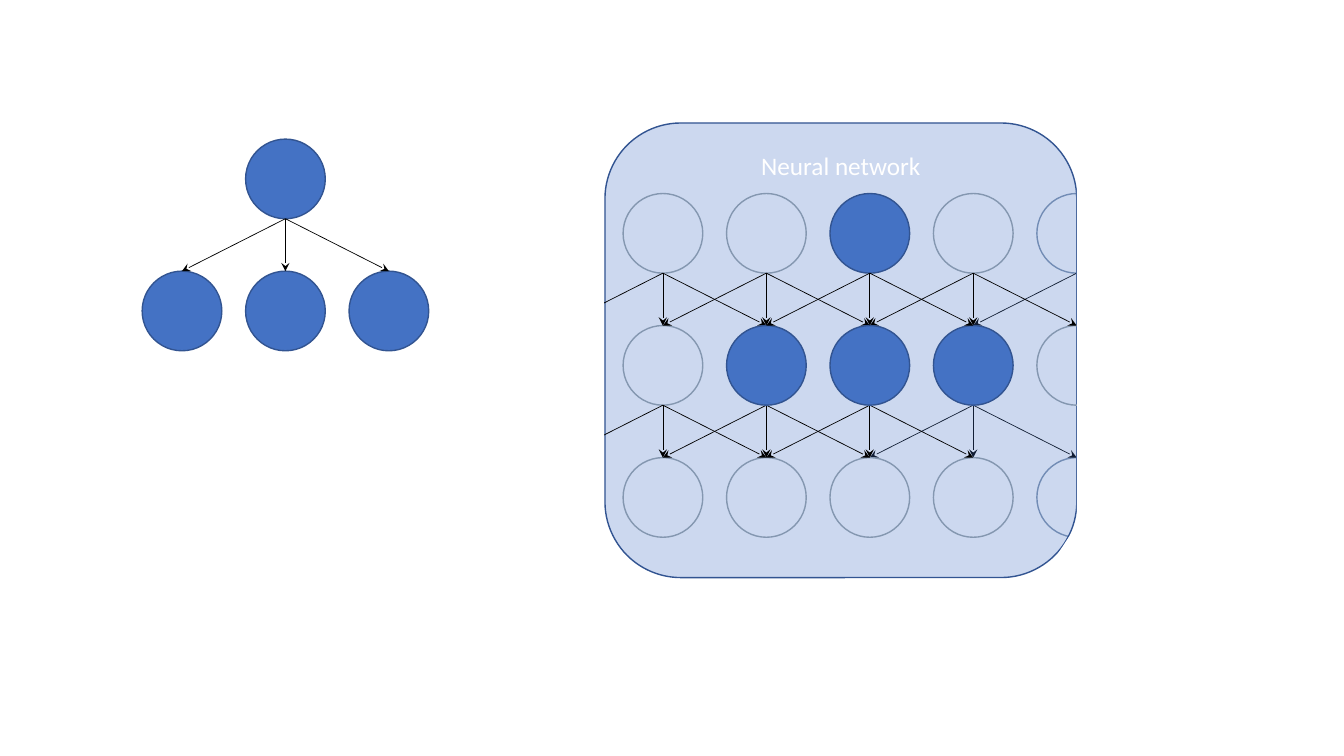
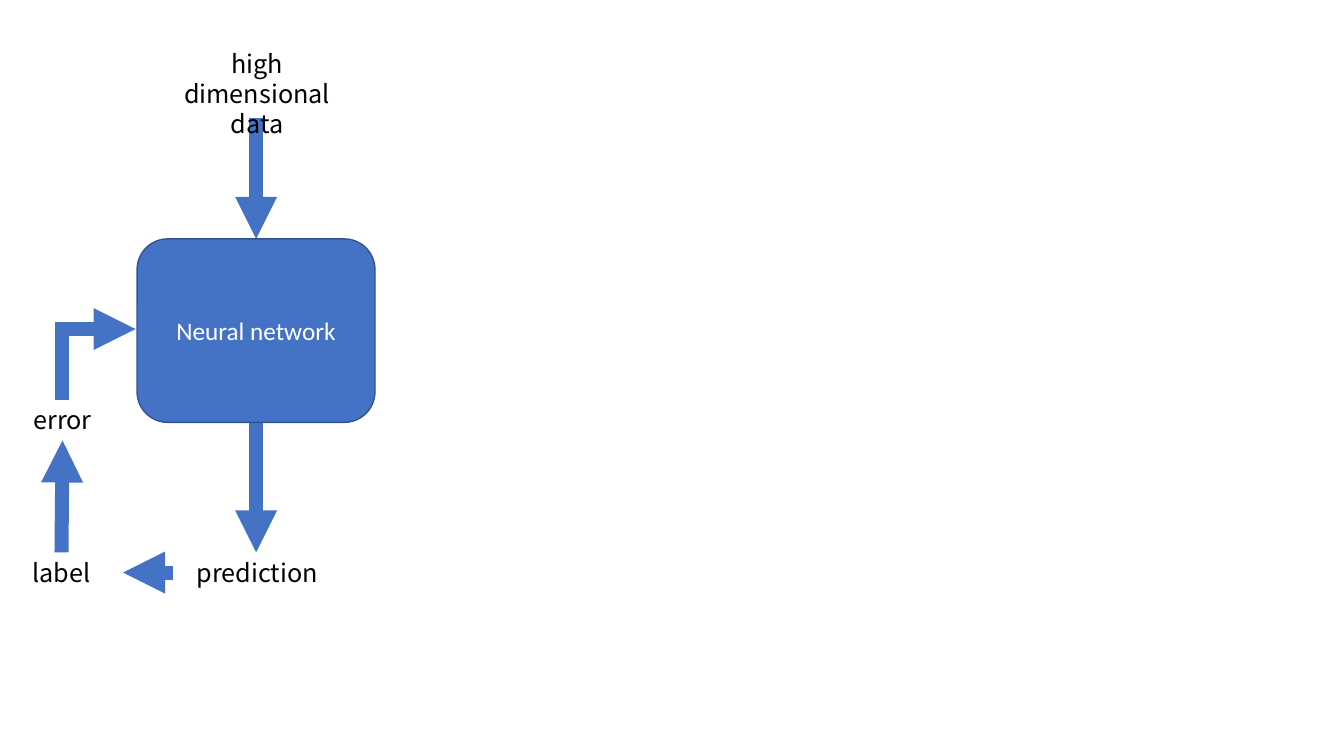
from pptx import Presentation
from pptx.dml.color import RGBColor
from pptx.enum import shapes, text
from pptx.oxml.ns import qn
from pptx.util import Inches, Pt
from lxml import etree

BLUE = RGBColor(0x44, 0x72, 0xC4)
EDGE = RGBColor(0x32, 0x54, 0x91)
GREY = RGBColor(0x84, 0x97, 0xB0)
BLACK = RGBColor(0, 0, 0)
WHITE = RGBColor(255, 255, 255)
LATIN, CJK = "Calibri", "Noto Sans CJK JP"
SHAPE, LINK = shapes.MSO_SHAPE, shapes.MSO_CONNECTOR
TITLE = "Neural network"

# Neuron grid, slide 1
SIZE, STEP_X, STEP_Y = 0.79, 1.026, 1.31
TREE = (1.41, 1.38)   # left, top of the small tree
GRID = (6.18, 1.92)   # left, top of the network
ROWS, COLS = 3, 5
FIRED = [(0, 2), (1, 1), (1, 2), (1, 3)]         # row, column
BEHIND_CIRCLES = [(0, 4), (2, 4)]                # under the panel tint
BEHIND_FANS = [(0, 4), (1, 3)]
PANEL = (6, 1.22, 4.68, 4.51)
MASKS = [((10.68, 1.22, 2.23, 4.79), 0), ((3.76, 0.95, 2.23, 4.79), 0),
         ((10.43, 5.6, 2.22, 0.64), 33.2)]       # box, rotation

# Training loop, slide 2
NETWORK = (1.36, 2.37, 2.36, 1.82)
FLOWS = [((2.54, 1.17), (2.54, 2.37)), ((2.54, 4.19), (2.54, 5.48)),
         ((1.72, 5.68), (1.22, 5.68)), ((0.61, 5.48), (0.62, 4.37))]
TURN = ((1.33, 3.98), (0.63, 3.25))              # before the quarter turn
LABELS = [("label", (0, 5.48, 1.22, 0.4)), ("error", (0.01, 3.96, 1.22, 0.4)),
          ("prediction", (1.72, 5.48, 1.66, 0.4)),
          ("high dimensional data", (1.52, 0.43, 2.06, 1.01))]


def inches(values):
    return [Inches(v) for v in values]


def add_shape(s, kind, box, fill=None, line=None):
    sp = s.shapes.add_shape(kind, *inches(box))
    sp.shadow.inherit = False
    if fill is None:
        sp.fill.background()
    else:
        sp.fill.solid()
        sp.fill.fore_color.rgb = fill
    if line is None:
        sp.line.fill.background()
    else:
        sp.line.color.rgb = line
        sp.line.width = Pt(1)
    return sp


def write(sp, words, font, color):
    tf = sp.text_frame
    tf.word_wrap = True
    tf.text = words
    p = tf.paragraphs[0]
    p.alignment = text.PP_ALIGN.CENTER
    f = p.runs[0].font
    f.name, f.size, f.color.rgb = font, Pt(18), color
    return tf


def add_arrow(s, start, end, color, width, head, kind=LINK.STRAIGHT):
    c = s.shapes.add_connector(kind, *inches(start + end))
    c.line.color.rgb = color
    c.line.width = Pt(width)
    ln = c.line._get_or_add_ln()
    etree.SubElement(ln, qn("a:miter"), lim="800000")
    etree.SubElement(ln, qn("a:tailEnd"), type=head)
    etree.SubElement(c._element.spPr, qn("a:effectLst"))
    return c


def add_neuron(s, origin, row, col, fired):
    box = (origin[0] + col * STEP_X, origin[1] + row * STEP_Y, SIZE, SIZE)
    add_shape(s, SHAPE.OVAL, box, BLUE if fired else None, EDGE if fired else GREY)


def add_fan(s, origin, row, col):
    """Arrows from one neuron to its neighbours in the next row."""
    x = origin[0] + col * STEP_X + SIZE / 2
    y = origin[1] + row * STEP_Y
    # The last column only links back into the panel
    for shift in (-1, 0, 1) if col < COLS - 1 else (-1,):
        add_arrow(s, (x, y + SIZE), (x + shift * STEP_X, y + STEP_Y),
                  BLACK, 0.5, "stealth")


def build_neurons(prs):
    s = prs.slides.add_slide(prs.slide_layouts[6])
    cells = [(r, c) for r in range(ROWS) for c in range(COLS)]
    fans = [(r, c) for r, c in cells if r < ROWS - 1 and c < COLS - 1]

    # Part under the panel
    for cell in BEHIND_CIRCLES:
        add_neuron(s, GRID, *cell, False)
    for cell in BEHIND_FANS:
        add_fan(s, GRID, *cell)

    # Translucent panel
    panel = add_shape(s, SHAPE.ROUNDED_RECTANGLE, PANEL, BLUE, EDGE)
    tint = panel._element.spPr.find(qn("a:solidFill"))[0]
    etree.SubElement(tint, qn("a:alpha"), val="27000")
    tf = write(panel, TITLE, LATIN, WHITE)
    tf.vertical_anchor = text.MSO_ANCHOR.TOP

    # Resting neurons and links
    for cell in cells:
        if cell not in FIRED + BEHIND_CIRCLES:
            add_neuron(s, GRID, *cell, False)
    for cell in fans:
        if cell not in BEHIND_FANS + FIRED[:1]:
            add_fan(s, GRID, *cell)

    # White masks trim what leaves the panel
    for box, angle in MASKS:
        add_shape(s, SHAPE.RECTANGLE, box, WHITE).rotation = angle

    # Fired tree, inside the network and on its own
    for origin, first in ((GRID, 0), (TREE, 1)):
        for row, col in FIRED:
            add_neuron(s, origin, row, col - first, True)
        add_fan(s, origin, 0, 2 - first)


def build_loop(prs):
    s = prs.slides.add_slide(prs.slide_layouts[6])
    # Arrows
    for start, end in FLOWS:
        add_arrow(s, start, end, BLUE, 10, "triangle")
    turn = add_arrow(s, *TURN, BLUE, 10, "triangle", LINK.ELBOW)
    spPr = turn._element.spPr
    spPr.find(qn("a:prstGeom")).set("prst", "bentConnector2")
    spPr.find(qn("a:xfrm")).set("rot", str(90 * 60000))

    # Network box
    box = add_shape(s, SHAPE.ROUNDED_RECTANGLE, NETWORK, BLUE, EDGE)
    tf = write(box, TITLE, LATIN, WHITE)
    tf.vertical_anchor = text.MSO_ANCHOR.MIDDLE

    # Labels
    for words, place in LABELS:
        write(s.shapes.add_textbox(*inches(place)), words, CJK, BLACK)


def main():
    prs = Presentation()
    prs.slide_width, prs.slide_height = Inches(13.33), Inches(7.5)
    build_neurons(prs)
    build_loop(prs)
    prs.save("out.pptx")


if __name__ == "__main__":
    main()
